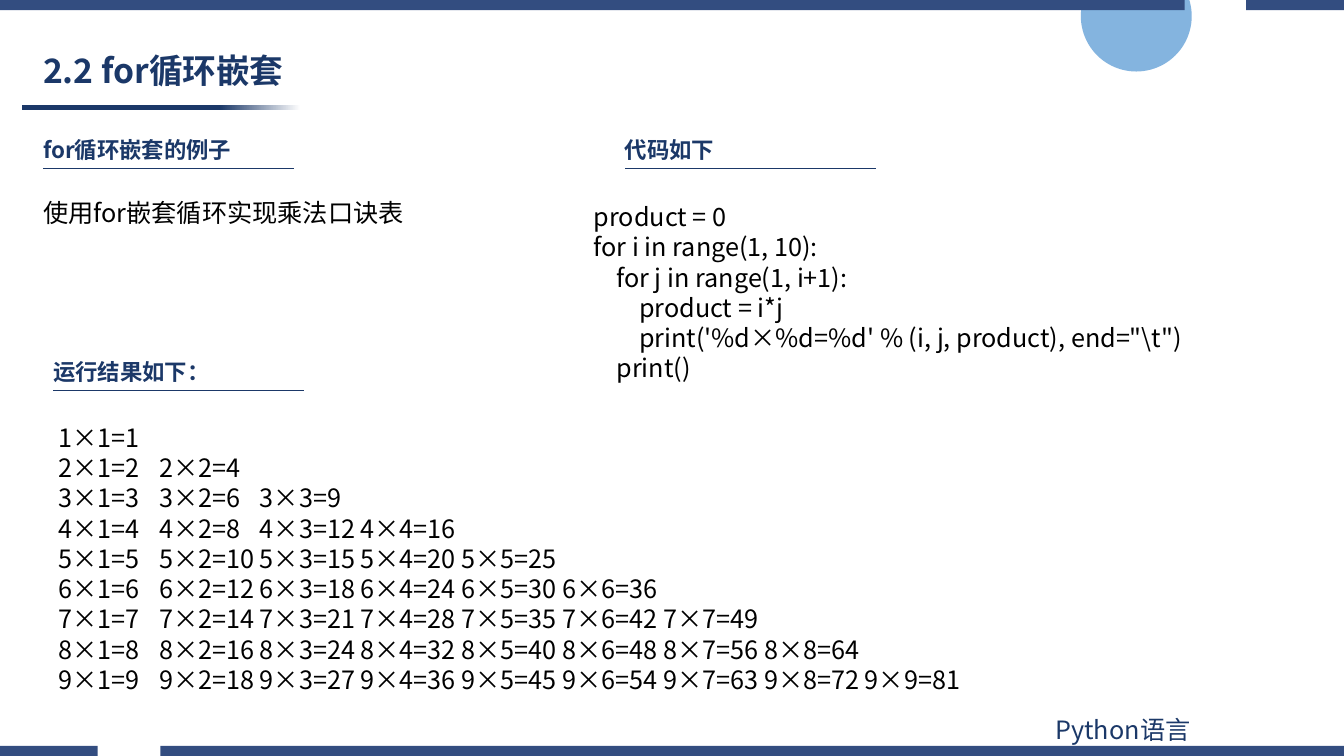
from lxml import etree
from pptx import Presentation
from pptx import util as u
from pptx.dml import color
from pptx.enum import shapes, text
from pptx.oxml import ns

NAVY, BAR, BLUE, BLACK, WHITE = "1B3868", "334D80", "5B9BD5", "000000", "FFFFFF"


def rgb(value):
    return color.RGBColor.from_string(value)


class SlideBuilder:
    font = "Noto Sans CJK SC"
    line_ratio = 1.2
    indent = u.Inches(0.225)
    tab = u.Inches(1)

    def __init__(self, slide):
        self.slide = slide

    def shape(self, kind, left, top, width, height):
        item = self.slide.shapes.add_shape(
            kind, u.Inches(left), u.Inches(top), u.Inches(width), u.Inches(height))
        item.shadow.inherit = False
        item.line.fill.background()
        return item

    def circle(self, left, top, size, fill, alpha):
        item = self.shape(shapes.MSO_SHAPE.OVAL, left, top, size, size)
        item.fill.solid()
        item.fill.fore_color.rgb = rgb(fill)
        tint = item.fill._xPr.find(".//" + ns.qn("a:srgbClr"))
        etree.SubElement(tint, ns.qn("a:alpha")).set("val", str(alpha * 1000))

    def fading_rule(self, left, top, width, height, start, end, fade_from):
        item = self.shape(shapes.MSO_SHAPE.RECTANGLE, left, top, width, height)
        item.fill.gradient()
        item.fill.gradient_angle = 0
        stops = zip(item.fill.gradient_stops, (start, end), (fade_from, 1))
        for stop, shade, position in stops:
            stop.color.rgb = rgb(shade)
            stop.position = position

    def split_bar(self, top, height, spans, fill):
        """One outline made of several rectangles on the same band."""
        upper, lower = u.Inches(top), u.Inches(top + height)
        builder = None
        for left, right in spans:
            start, end = u.Inches(left), u.Inches(right)
            if builder is None:
                builder = self.slide.shapes.build_freeform(start, upper)
            else:
                builder.move_to(start, upper)
            builder.add_line_segments(
                [(end, upper), (end, lower), (start, lower)], close=True)
        item = builder.convert_to_shape()
        item.shadow.inherit = False
        item.fill.solid()
        item.fill.fore_color.rgb = rgb(fill)
        item.line.fill.background()

    def text(self, left, top, width, height, lines, size=18, shade=BLACK,
             bold=False, middle=False, spacing=None):
        """Write (level, content) lines; each level is one indent step."""
        box = self.slide.shapes.add_textbox(
            u.Inches(left), u.Inches(top), u.Inches(width), u.Inches(height))
        frame = box.text_frame
        frame.word_wrap = True
        if middle:
            frame.vertical_anchor = text.MSO_ANCHOR.MIDDLE
        frame.text = "\n".join(content for level, content in lines)
        for para, (level, content) in zip(frame.paragraphs, lines):
            para.line_spacing = spacing or u.Pt(size * self.line_ratio)
            properties = para._p.get_or_add_pPr()
            properties.set("marL", str(level * self.indent))
            properties.set("defTabSz", str(self.tab))
            for span in para.runs:
                span.font.size = u.Pt(size)
                span.font.bold = bold
                span.font.name = self.font
                span.font.color.rgb = rgb(shade)
                east = etree.SubElement(span.font._element, ns.qn("a:ea"))
                east.set("typeface", self.font)

    def line(self, left, top, width, shade):
        item = self.slide.shapes.add_connector(
            shapes.MSO_CONNECTOR.STRAIGHT, u.Inches(left), u.Inches(top),
            u.Inches(left + width), u.Inches(top))
        item.line.color.rgb = rgb(shade)
        item.line.width = u.Pt(0.5)
        etree.SubElement(item._element.spPr, ns.qn("a:effectLst"))

    def heading(self, left, top, content):
        self.text(left, top, 3.4, 0.37, [(0, content)], 16, NAVY, bold=True)
        self.line(left + 0.1, top + 0.37, 2.49, NAVY)


def main():
    deck = Presentation()
    deck.slide_width, deck.slide_height = u.Inches(13.33), u.Inches(7.5)
    page = SlideBuilder(deck.slides.add_slide(deck.slide_layouts[6]))

    # Frame decoration
    page.circle(10.72, -0.39, 1.1, BLUE, 75)
    page.fading_rule(0.22, 1.04, 2.76, 0.05, NAVY, WHITE, 0.71)
    page.split_bar(7.4, 0.1, [(1.59, 13.33), (0, 0.97)], BAR)
    page.split_bar(0, 0.1, [(0, 11.75), (12.36, 13.33)], BAR)
    page.text(10.37, 7.04, 2.94, 0.4, [(0, "Python语言")], shade=NAVY)

    # Title and section headings
    page.text(0.33, 0.44, 3.57, 0.56, [(0, "2.2 for循环嵌套")], 24, NAVY,
              bold=True, middle=True, spacing=0.9)
    for left, top, content in [(6.1, 1.3, "代码如下"),
                               (0.33, 1.3, "for循环嵌套的例子"),
                               (0.43, 3.5, "运行结果如下：")]:
        page.heading(left, top, content)

    # Task and code
    page.text(0.33, 1.91, 4.46, 0.71, [(0, "使用for嵌套循环实现乘法口诀表")])
    page.text(5.79, 1.95, 6.49, 1.92, [
        (0, "product = 0"),
        (0, "for i in range(1, 10):"),
        (1, "for j in range(1, i+1):"),
        (2, "product = i*j"),
        (2, "print('%d×%d=%d' % (i, j, product), end=\"\\t\")"),
        (1, "print()"),
    ])

    # Multiplication table output
    results = [(0, "\t".join(f"{i}×{j}={i * j}" for j in range(1, i + 1)))
               for i in range(1, 10)]
    page.text(0.48, 4.14, 10.78, 3.13, results)

    deck.save("out.pptx")


if __name__ == "__main__":
    main()
